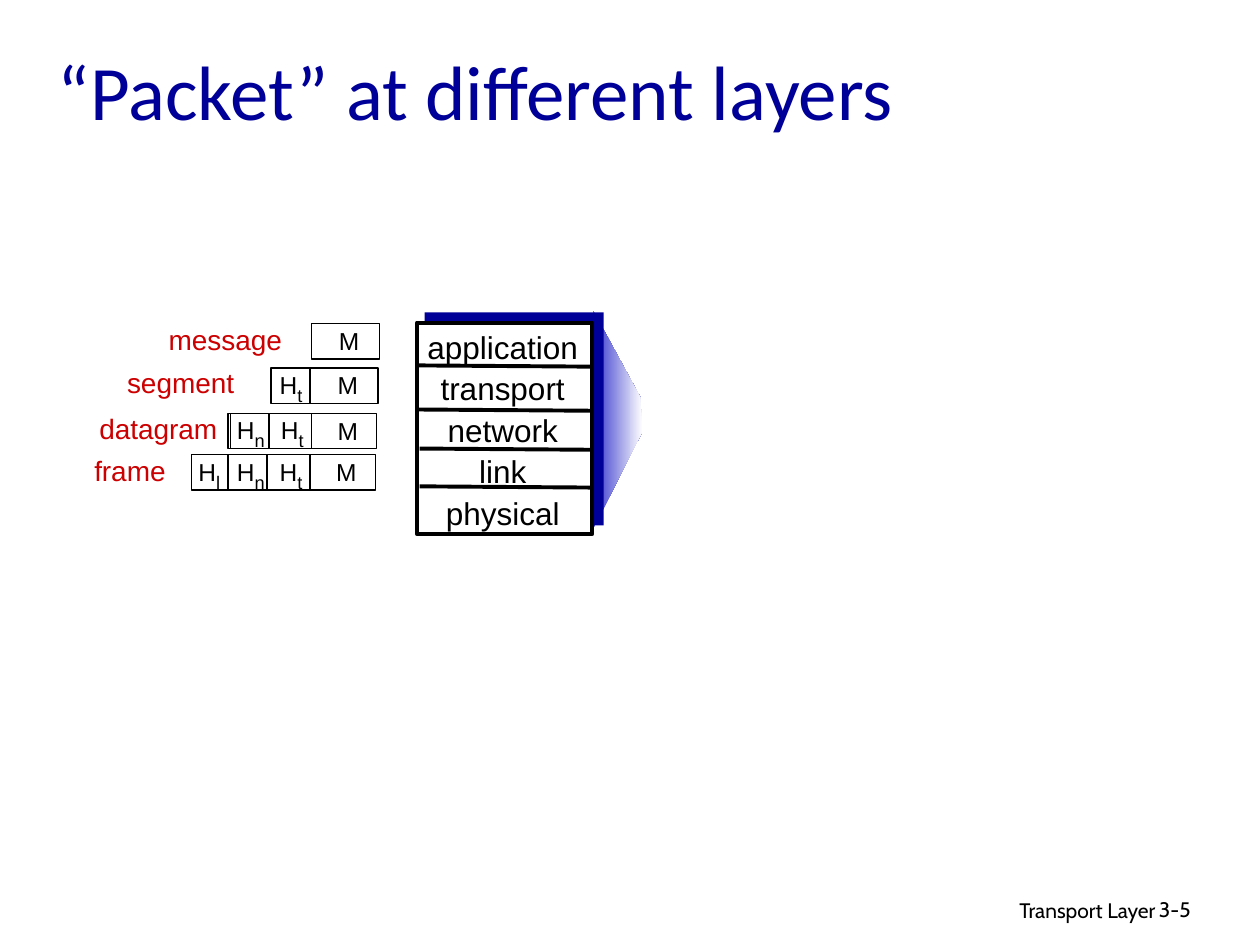
from dataclasses import dataclass

from lxml import etree
from pptx import Presentation
from pptx.dml.color import RGBColor
from pptx.enum.shapes import MSO_CONNECTOR, MSO_SHAPE
from pptx.enum.text import MSO_ANCHOR, MSO_AUTO_SIZE, PP_ALIGN
from pptx.oxml.ns import qn
from pptx.util import Inches, Pt

RECTANGLE = MSO_SHAPE.RECTANGLE
STRAIGHT = MSO_CONNECTOR.STRAIGHT
LEFT, CENTER, RIGHT = PP_ALIGN.LEFT, PP_ALIGN.CENTER, PP_ALIGN.RIGHT
TOP, MIDDLE = MSO_ANCHOR.TOP, MSO_ANCHOR.MIDDLE
NO_AUTOFIT = MSO_AUTO_SIZE.NONE
TITLE_ONLY = 5


@dataclass(frozen=True)
class Theme:
    navy: RGBColor = RGBColor(0x00, 0x00, 0x99)
    blue: RGBColor = RGBColor(0x33, 0x33, 0xCC)
    red: RGBColor = RGBColor(0xCC, 0x00, 0x00)
    black: RGBColor = RGBColor(0x00, 0x00, 0x00)
    white: RGBColor = RGBColor(0xFF, 0xFF, 0xFF)
    title_font: str = "Calibri"
    body_font: str = "Arial"
    footer_font: str = "Cabin"
    title_size: float = 44
    layer_size: float = 18
    label_size: float = 16
    cell_size: float = 14
    subscript_size: float = 18
    footer_size: float = 12
    thick: float = 2.25
    thin: float = 0.75
    layer_spacing: float = 1.1


@dataclass(frozen=True)
class Packet:
    """One row: boxes are (left, width), headers are (subscript, text left)."""
    label: str
    label_box: tuple
    top: float
    boxes: tuple
    message_left: float
    headers: tuple = ()
    dividers: tuple = ()


PACKETS = (
    Packet("message", (1.24, 2.51, 1.1, 0.37), 2.57, ((2.47, 0.54),), 2.4),
    Packet("segment", (0.91, 2.85, 1.05, 0.37), 2.92,
           ((2.15, 0.31), (2.46, 0.54)), 2.39, (("t", 2.15),)),
    Packet("datagram", (0.69, 3.22, 1.14, 0.37), 3.28,
           ((1.81, 1.18), (1.83, 0.31)), 2.39,
           (("n", 1.83), ("t", 2.16)), (2.13, 2.47)),
    Packet("frame", (0.65, 3.55, 0.77, 0.37), 3.61, ((1.52, 1.46),), 2.38,
           (("l", 1.5), ("n", 1.83), ("t", 2.15)), (1.81, 2.12, 2.46)),
)
CELL_HEIGHT = 0.28
LAYERS = ("application", "transport", "network", "link", "physical")
LAYER_LINES = ((3.31, 2.9), (3.32, 3.25), (3.33, 3.56), (3.33, 3.86))


class SlideBuilder:
    def __init__(self, page, theme):
        self.page = page
        self.theme = theme

    def style(self, para, font, size, color, align=LEFT):
        para.alignment = align
        para.font.name = font
        para.font.size = Pt(size)
        para.font.color.rgb = color

    def title(self, text, bounds):
        box = self.page.shapes.title
        box.left, box.top, box.width, box.height = map(Inches, bounds)
        frame = box.text_frame
        frame.text = text
        frame.auto_size = NO_AUTOFIT
        frame.vertical_anchor = MIDDLE
        self.style(frame.paragraphs[0], self.theme.title_font,
                   self.theme.title_size, self.theme.navy)

    def text(self, lines, bounds, font, size, color, align=LEFT,
             anchor=TOP, wrap=True, spacing=None):
        box = self.page.shapes.add_textbox(*map(Inches, bounds))
        frame = box.text_frame
        frame.word_wrap = wrap
        frame.vertical_anchor = anchor
        frame.text = "\n".join(lines)
        for para in frame.paragraphs:
            self.style(para, font, size, color, align)
            if spacing:
                para.line_spacing = spacing
        return frame

    def rectangle(self, bounds, fill, line_width=None):
        box = self.page.shapes.add_shape(RECTANGLE, *map(Inches, bounds))
        box.shadow.inherit = False
        box.fill.solid()
        box.fill.fore_color.rgb = fill
        if line_width:
            box.line.color.rgb = self.theme.black
            box.line.width = Pt(line_width)
        else:
            box.line.fill.background()

    def line(self, start, end, width):
        rule = self.page.shapes.add_connector(
            STRAIGHT, *map(Inches, (*start, *end)))
        rule.line.color.rgb = self.theme.black
        rule.line.width = Pt(width)
        etree.SubElement(rule._element.spPr, qn("a:effectLst"))

    def beam(self, points):
        """Draw a polygon that fades from blue to white, left to right."""
        (left, top), *others = [tuple(map(Inches, point)) for point in points]
        outline = self.page.shapes.build_freeform(left, top)
        outline.add_line_segments(others, close=True)
        shape = outline.convert_to_shape()
        shape.shadow.inherit = False
        shape.line.fill.background()
        shape.fill.gradient()
        shape.fill.gradient_angle = 0
        colors = (self.theme.blue, self.theme.white)
        for stop, color in zip(shape.fill.gradient_stops, colors):
            stop.color.rgb = color

    def cell_text(self, text, bounds, subscript=""):
        frame = self.text([text], bounds, self.theme.body_font,
                          self.theme.cell_size, self.theme.black,
                          CENTER, MIDDLE, wrap=False)
        frame.margin_left = frame.margin_right = 0
        frame.margin_top = frame.margin_bottom = 0
        if subscript:
            span = frame.paragraphs[0].add_run()
            span.text = subscript
            span.font.size = Pt(self.theme.subscript_size)
            span._r.get_or_add_rPr().set("baseline", "-25000")

    def packet(self, packet):
        theme, top = self.theme, packet.top
        self.text([packet.label], packet.label_box, theme.body_font,
                  theme.label_size, theme.red, wrap=False)
        for left, width in packet.boxes:
            self.rectangle((left, top, width, CELL_HEIGHT), theme.white, theme.thin)
        for x in packet.dividers:
            self.line((x, top), (x, top + CELL_HEIGHT), theme.thin)
        for subscript, left in packet.headers:
            self.cell_text("H", (left, top - 0.03, 0.32, 0.32), subscript)
        self.cell_text("M", (packet.message_left, top - 0.03, 0.74, 0.33))

    def layer_stack(self):
        theme = self.theme
        self.beam(((5.08, 3.15), (4.71, 2.47), (4.71, 4.19), (5.1, 3.42)))
        self.rectangle((3.37, 2.48, 1.42, 1.69), theme.navy)
        self.rectangle((3.31, 2.56, 1.39, 1.68), theme.white, theme.thick)
        for left, y in LAYER_LINES:
            self.line((left, y), (left + 1.38, y + 0.01), theme.thick)
        self.text(LAYERS, (3.27, 2.52, 1.44, 1.75), theme.body_font,
                  theme.layer_size, theme.black, CENTER,
                  spacing=theme.layer_spacing)

    def footer(self, text, bounds, align=LEFT):
        self.text([text], bounds, self.theme.footer_font,
                  self.theme.footer_size, self.theme.black, align)


def main():
    deck = Presentation()
    deck.slide_width, deck.slide_height = Inches(10), Inches(7.5)
    page = deck.slides.add_slide(deck.slide_layouts[TITLE_ONLY])
    builder = SlideBuilder(page, Theme())
    builder.title("“Packet” at different layers", (0.36, 0.09, 8.5, 1.25))
    builder.layer_stack()
    for packet in PACKETS:
        builder.packet(packet)
    builder.footer("Transport Layer", (6.1, 7.07, 3.17, 0.31), RIGHT)
    builder.footer("3-5", (9.1, 7.07, 0.74, 0.3))
    deck.save("out.pptx")


if __name__ == "__main__":
    main()
